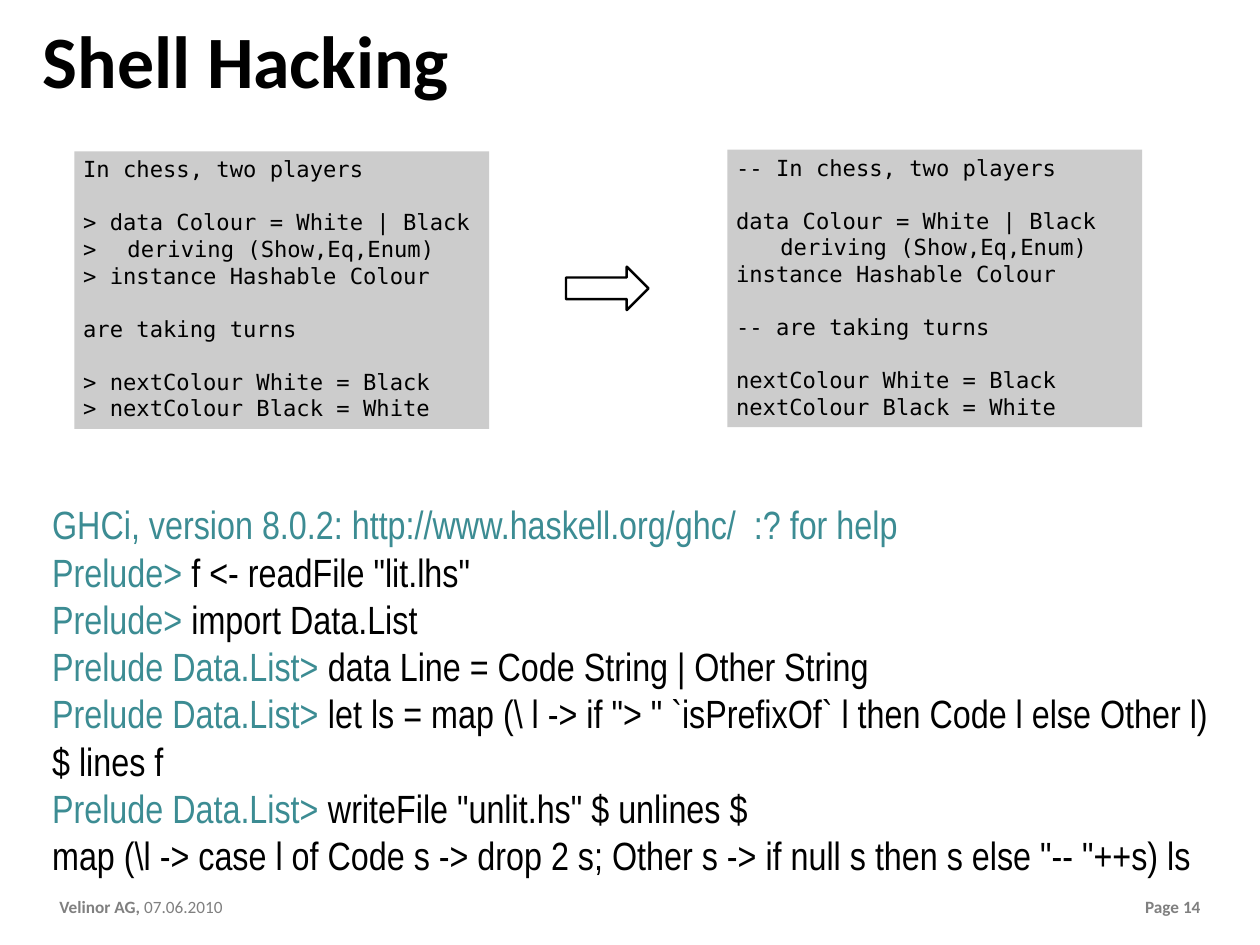
from pptx import Presentation
from pptx.dml.color import RGBColor
from pptx.enum.shapes import MSO_SHAPE
from pptx.enum.text import MSO_ANCHOR, MSO_AUTO_SIZE, PP_ALIGN
from pptx.util import Pt

BLACK = RGBColor(0x00, 0x00, 0x00)
GREY = RGBColor(0x80, 0x80, 0x80)
PANEL = RGBColor(0xCC, 0xCC, 0xCC)
TEAL = RGBColor(0x3C, 0x8C, 0x93)

CODE_LINE = 21.5  # height of one line of code

TITLE = {"name": "Calibri", "size": Pt(60), "bold": True}
FOOTER = {"name": "Calibri", "size": Pt(14)}
CODE = {"name": "DejaVu Sans Mono", "size": Pt(18)}
SHELL = {"name": "Arial Narrow", "size": Pt(32)}

# Each block of code is set apart from the one before it
LITERATE_BLOCKS = [
    ["In chess, two players"],
    ["> data Colour = White | Black",
     "> \tderiving (Show,Eq,Enum)",
     "> instance Hashable Colour"],
    ["are taking turns"],
    ["> nextColour White = Black",
     "> nextColour Black = White"],
]
PLAIN_BLOCKS = [
    ["-- In chess, two players"],
    ["data Colour = White | Black",
     "\tderiving (Show,Eq,Enum)",
     "instance Hashable Colour"],
    ["-- are taking turns"],
    ["nextColour White = Black",
     "nextColour Black = White"],
]

# Prompt and command of each shell line
SESSION = [
    ("GHCi, version 8.0.2: http://www.haskell.org/ghc/  :? for help", ""),
    ("Prelude>", ' f <- readFile "lit.lhs"'),
    ("Prelude>", " import Data.List"),
    ("Prelude Data.List>", " data Line = Code String | Other String"),
    ("Prelude Data.List>",
     ' let ls = map (\\ l -> if "> " `isPrefixOf` l then Code l else Other l) $ lines f'),
    ("Prelude Data.List>", ' writeFile "unlit.hs" $ unlines $'),
    ("", 'map (\\l -> case l of Code s -> drop 2 s; Other s -> if null s then s else "-- "++s) ls'),
]


def set_frame(frame, **settings):
    values = {"word_wrap": True, "vertical_anchor": MSO_ANCHOR.TOP, **settings}
    for name, value in values.items():
        setattr(frame, name, value)


def add_span(para, text, style, colour, **changes):
    span = para.add_run()
    span.text = text
    for name, value in {**style, **changes}.items():
        setattr(span.font, name, value)
    span.font.color.rgb = colour


def add_text_box(page, left, top, width, height, **settings):
    box = page.shapes.add_textbox(Pt(left), Pt(top), Pt(width), Pt(height))
    set_frame(box.text_frame, **settings)
    return box.text_frame


def add_shape(page, kind, left, top, width, height):
    shape = page.shapes.add_shape(kind, Pt(left), Pt(top), Pt(width), Pt(height))
    shape.shadow.inherit = False
    return shape


def next_para(frame, index):
    return frame.add_paragraph() if index else frame.paragraphs[0]


def add_code_panel(page, left, top, blocks):
    panel = add_shape(page, MSO_SHAPE.RECTANGLE, left, top, 337, 225.4)
    panel.fill.solid()
    panel.fill.fore_color.rgb = PANEL
    panel.line.fill.background()
    frame = panel.text_frame
    set_frame(frame, word_wrap=False, auto_size=MSO_AUTO_SIZE.SHAPE_TO_FIT_TEXT)
    for block_index, block in enumerate(blocks):
        for line_index, line in enumerate(block):
            para = next_para(frame, block_index + line_index)
            para.alignment = PP_ALIGN.LEFT
            if block_index and not line_index:
                para.space_before = Pt(CODE_LINE)
            add_span(para, line, CODE, BLACK)


def add_arrow(page):
    arrow = add_shape(page, MSO_SHAPE.RIGHT_ARROW, 460, 216.7, 67, 35.3)
    arrow.fill.background()
    arrow.line.color.rgb = BLACK
    arrow.line.width = Pt(2)


def add_session(page):
    frame = add_text_box(page, 35.3, 403.2, 955.4, 278.6,
                         auto_size=MSO_AUTO_SIZE.SHAPE_TO_FIT_TEXT)
    for index, (prompt, command) in enumerate(SESSION):
        para = next_para(frame, index)
        for text, colour in ((prompt, TEAL), (command, BLACK)):
            if text:
                add_span(para, text, SHELL, colour)


def add_footer(page, left, width, spans, align, wrap):
    frame = add_text_box(page, left, 723.6, width, 27.4, word_wrap=wrap,
                         auto_size=MSO_AUTO_SIZE.SHAPE_TO_FIT_TEXT,
                         margin_left=Pt(10), margin_right=Pt(10),
                         margin_top=Pt(5), margin_bottom=Pt(5))
    para = frame.paragraphs[0]
    para.alignment = align
    for text, bold in spans:
        add_span(para, text, FOOTER, GREY, bold=bold)


def add_title(page, text):
    frame = add_text_box(page, 34.6, 7.2, 846, 74.2, margin_left=Pt(0),
                         margin_right=Pt(10), margin_top=Pt(5), margin_bottom=Pt(5))
    add_span(frame.paragraphs[0], text, TITLE, BLACK)


def main():
    deck = Presentation()
    deck.slide_width, deck.slide_height = Pt(1024), Pt(768)
    page = deck.slides.add_slide(deck.slide_layouts[6])

    # Footer
    add_footer(page, 766.8, 218.9, [("Page 14", True)], PP_ALIGN.RIGHT, True)
    add_footer(page, 38.2, 157.7, [("Velinor AG, ", True), ("07.06.2010", False)],
               PP_ALIGN.LEFT, False)

    # Heading
    add_title(page, "Shell Hacking")

    # Literate source turned into plain source
    add_code_panel(page, 60.5, 123.1, LITERATE_BLOCKS)
    add_code_panel(page, 591.1, 121.7, PLAIN_BLOCKS)
    add_arrow(page)

    # Shell session
    add_session(page)

    deck.save("out.pptx")


if __name__ == "__main__":
    main()
